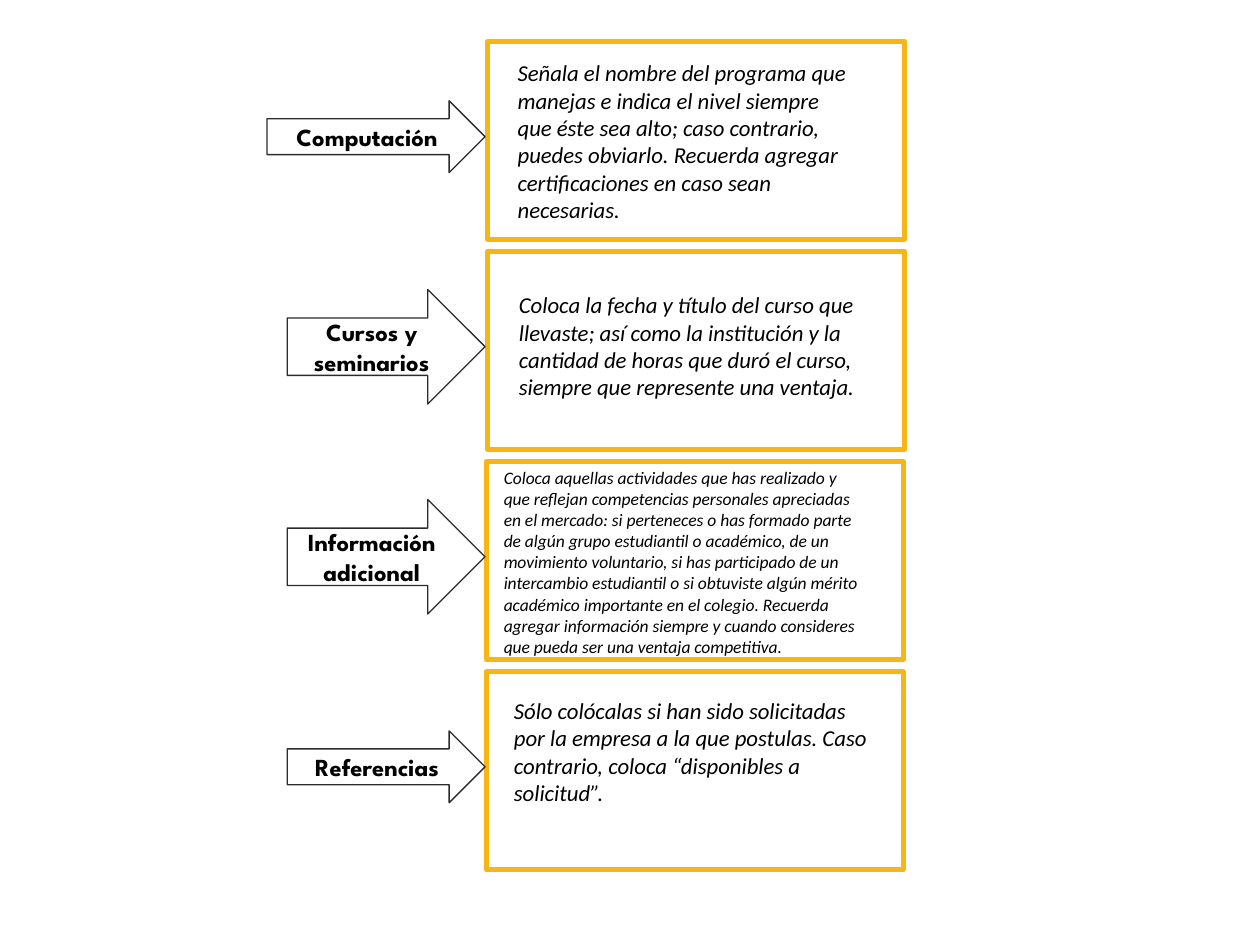
from pptx import Presentation
from pptx.dml.color import RGBColor
from pptx.enum.shapes import MSO_SHAPE as Shape
from pptx.enum.text import MSO_ANCHOR as Anchor, PP_ALIGN as Align
from pptx.util import Inches, Pt

COLORS = {"paper": "FFFFFF", "frame": "F7B617", "outline": "2B2B2B", "ink": "000000"}
COLUMNS, ROWS = 100, 75
FIRST_TOP, FIRST_CENTER, PITCH = 3.3, 10.85, 16.67
FRAME_WIDTH, FRAME_HEIGHT, ARROW_TIP = 33.1, 15.7, 38.5

SECTIONS = [
    {
        "label": "Computación",
        "arrow": (17.3, 5.7),
        "frame_left": 38.7,
        "note": (40.1, 4.2, 28.7, 14),
        "size": 13,
        "text": "Señala el nombre del programa que manejas e indica el nivel siempre que éste sea alto; "
                "caso contrario, puedes obviarlo. Recuerda agregar certificaciones en caso sean necesarias.",
    },
    {
        "label": "Cursos y seminarios",
        "arrow": (15.7, 9.1),
        "frame_left": 38.7,
        "note": (40.2, 22.6, 29, 10.2),
        "size": 13,
        "text": "Coloca la fecha y título del curso que llevaste; así como la institución y la cantidad "
                "de horas que duró el curso, siempre que represente una ventaja.",
    },
    {
        "label": "Información adicional",
        "arrow": (15.7, 9.1),
        "frame_left": 38.6,
        "note": (39, 36.6, 30.7, 15.7),
        "size": 10,
        "text": "Coloca aquellas actividades que has realizado y que reflejan competencias personales "
                "apreciadas en el mercado: si perteneces o has formado parte de algún grupo estudiantil "
                "o académico, de un movimiento voluntario, si has participado de un intercambio "
                "estudiantil o si obtuviste algún mérito académico importante en el colegio. Recuerda "
                "agregar información siempre y cuando consideres que pueda ser una ventaja competitiva.",
    },
    {
        "label": "Referencias",
        "arrow": (15.7, 5.7),
        "frame_left": 38.6,
        "note": (39.8, 54.8, 30.8, 11),
        "size": 13,
        "text": "Sólo colócalas si han sido solicitadas por la empresa a la que postulas. "
                "Caso contrario, coloca “disponibles a solicitud”.",
    },
]


class SlidePainter:
    """Draw styled elements on the current slide, placed by grid columns and rows."""

    def __init__(self, deck):
        self.slide = deck.slides.add_slide(deck.slide_layouts[6])
        self.column = deck.slide_width / COLUMNS
        self.row = deck.slide_height / ROWS

    def area(self, left, top, width, height):
        return (round(left * self.column), round(top * self.row),
                round(width * self.column), round(height * self.row))

    def color(self, name):
        return RGBColor.from_string(COLORS[name])

    def outline(self, shape, color, weight):
        shape.shadow.inherit = False
        shape.line.color.rgb = self.color(color)
        shape.line.width = Pt(weight)

    def set_text(self, box, text, font, size, bold=False, italic=False):
        frame = box.text_frame
        frame.text = text
        frame.word_wrap = True
        para = frame.paragraphs[0]
        span = para.runs[0]
        span.font.name, span.font.size = font, Pt(size)
        span.font.bold, span.font.italic = bold, italic
        span.font.color.rgb = self.color("ink")
        return frame, para

    def frame(self, *place):
        box = self.slide.shapes.add_shape(Shape.RECTANGLE, *self.area(*place))
        box.fill.solid()
        box.fill.fore_color.rgb = self.color("paper")
        self.outline(box, "frame", 3)

    def note(self, text, size, *place):
        box = self.slide.shapes.add_textbox(*self.area(*place))
        self.set_text(box, text, "Calibri", size, italic=True)

    def arrow(self, text, *place):
        arrow = self.slide.shapes.add_shape(Shape.RIGHT_ARROW, *self.area(*place))
        arrow.fill.background()
        self.outline(arrow, "outline", 0.75)
        frame, para = self.set_text(arrow, text, "League Spartan", 14, bold=True)
        frame.vertical_anchor = Anchor.MIDDLE
        frame.margin_left = frame.margin_right = Inches(0.1)
        frame.margin_top = frame.margin_bottom = Inches(0.1)
        para.alignment = Align.CENTER


def main():
    deck = Presentation()
    deck.slide_width, deck.slide_height = Inches(10), Inches(7.5)
    page = SlidePainter(deck)
    for index, section in enumerate(SECTIONS):
        shift = index * PITCH
        page.frame(section["frame_left"], FIRST_TOP + shift, FRAME_WIDTH, FRAME_HEIGHT)
        page.note(section["text"], section["size"], *section["note"])
        width, height = section["arrow"]
        page.arrow(section["label"], ARROW_TIP - width,
                   FIRST_CENTER + shift - height / 2, width, height)
    deck.save("out.pptx")


if __name__ == "__main__":
    main()
